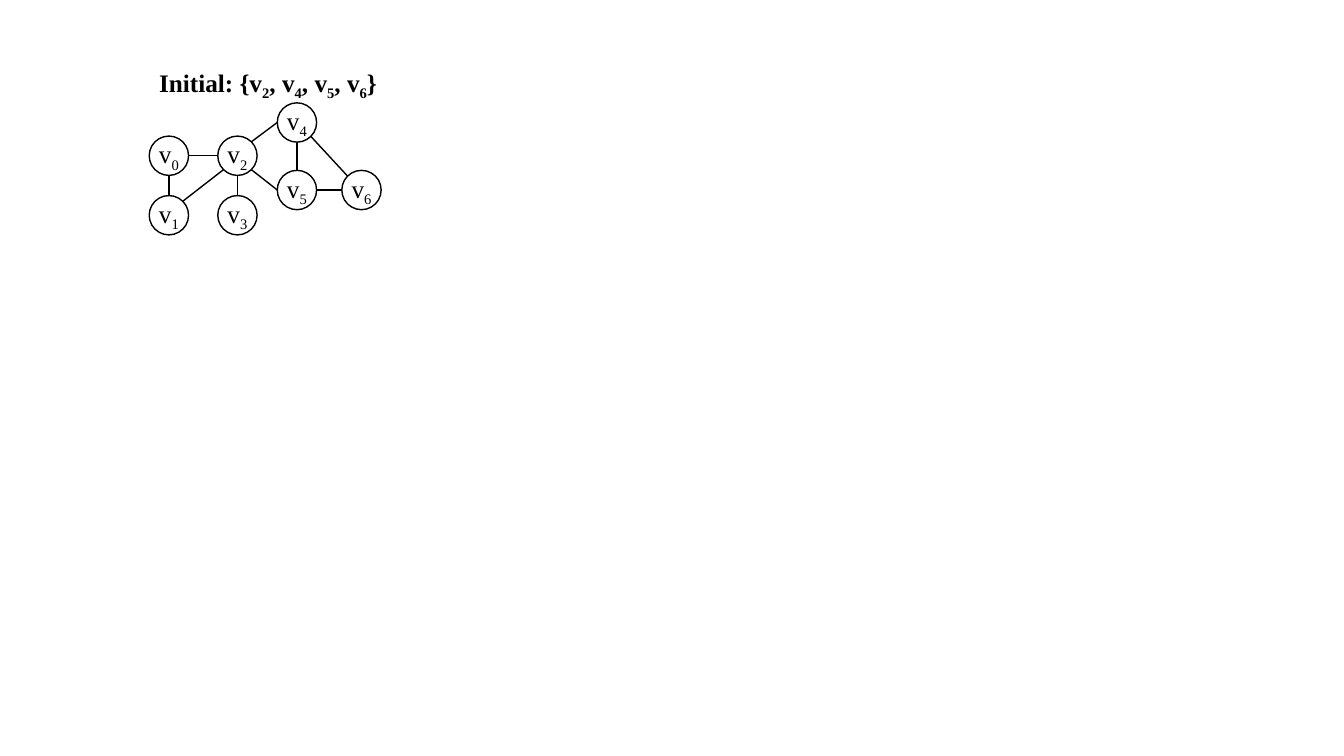
import math
import pptx
import pptx.util
import pptx.dml.color
import pptx.enum.shapes
import pptx.enum.text
import pptx.oxml.ns
import lxml.etree

Inches = pptx.util.Inches
BLACK = pptx.dml.color.RGBColor(0, 0, 0)
WHITE = pptx.dml.color.RGBColor(255, 255, 255)
SIZE = 0.39

# Left and top of each vertex.
NODES = {
    "0": (1.48, 1.35), "1": (1.48, 1.94), "2": (2.16, 1.35), "3": (2.16, 1.94),
    "4": (2.75, 1.02), "5": (2.75, 1.69), "6": (3.39, 1.69),
}
# Compass points on the rim, in degrees clockwise from east.
RIM = {"E": 0, "SE": 45, "S": 90, "SW": 135, "W": 180, "NW": 225, "N": 270, "NE": 315}
EDGES = [
    ("2", "W", "0", "E"), ("4", "W", "2", "NE"), ("5", "W", "2", "SE"),
    ("5", "N", "4", "S"), ("6", "NW", "4", "SE"), ("6", "W", "5", "E"),
    ("1", "N", "0", "S"), ("1", "NE", "2", "SW"), ("3", "N", "2", "S"),
]


def rim(node, side):
    """Return the point on a vertex's circle at a compass side."""
    left, top = NODES[node]
    angle = math.radians(RIM[side])
    half = SIZE / 2
    return (Inches(left + half + half * math.cos(angle)),
            Inches(top + half + half * math.sin(angle)))


class Graph:
    def __init__(self, slide, font="Times New Roman", size=18):
        self.shapes = slide.shapes
        self.font = font
        self.size = size

    def label(self, frame, text, bold=False):
        """Fill the frame; the character after each underscore is a subscript."""
        para = frame.paragraphs[0]
        head, *rest = text.split("_")
        parts = [(head, False)]
        for piece in rest:
            parts += [(piece[0], True), (piece[1:], False)]
        for part, low in parts:
            if not part:
                continue
            run = para.add_run()
            run.text = part
            run.font.name = self.font
            run.font.size = pptx.util.Pt(self.size)
            run.font.bold = bold
            run.font.color.rgb = BLACK
            if low:
                run._r.get_or_add_rPr().set("baseline", "-25000")
        return para

    def pen(self, line):
        line.color.rgb = BLACK
        line.width = pptx.util.Pt(1)

    def node(self, name):
        left, top = NODES[name]
        disc = self.shapes.add_shape(
            pptx.enum.shapes.MSO_SHAPE.OVAL,
            Inches(left), Inches(top), Inches(SIZE), Inches(SIZE))
        disc.shadow.inherit = False
        disc.fill.solid()
        disc.fill.fore_color.rgb = WHITE
        self.pen(disc.line)
        frame = disc.text_frame
        frame.word_wrap = False
        frame.vertical_anchor = pptx.enum.text.MSO_ANCHOR.MIDDLE
        para = self.label(frame, "v_" + name)
        para.alignment = pptx.enum.text.PP_ALIGN.CENTER

    def edge(self, start, out, end, into):
        link = self.shapes.add_connector(
            pptx.enum.shapes.MSO_CONNECTOR.STRAIGHT, *rim(start, out), *rim(end, into))
        self.pen(link.line)
        lxml.etree.SubElement(link._element.spPr, pptx.oxml.ns.qn("a:effectLst"))

    def title(self, text, left, top, width, height):
        box = self.shapes.add_textbox(
            Inches(left), Inches(top), Inches(width), Inches(height))
        frame = box.text_frame
        frame.word_wrap = True
        frame.auto_size = pptx.enum.text.MSO_AUTO_SIZE.SHAPE_TO_FIT_TEXT
        self.label(frame, text, bold=True)


def main():
    deck = pptx.Presentation()
    deck.slide_width = Inches(13.33)
    deck.slide_height = Inches(7.5)
    graph = Graph(deck.slides.add_slide(deck.slide_layouts[6]))
    for name in NODES:
        graph.node(name)
    for edge in EDGES:
        graph.edge(*edge)
    graph.title("Initial: {v_2, v_4, v_5, v_6}", 1.48, 0.62, 2.87, 0.4)
    deck.save("out.pptx")


if __name__ == "__main__":
    main()
